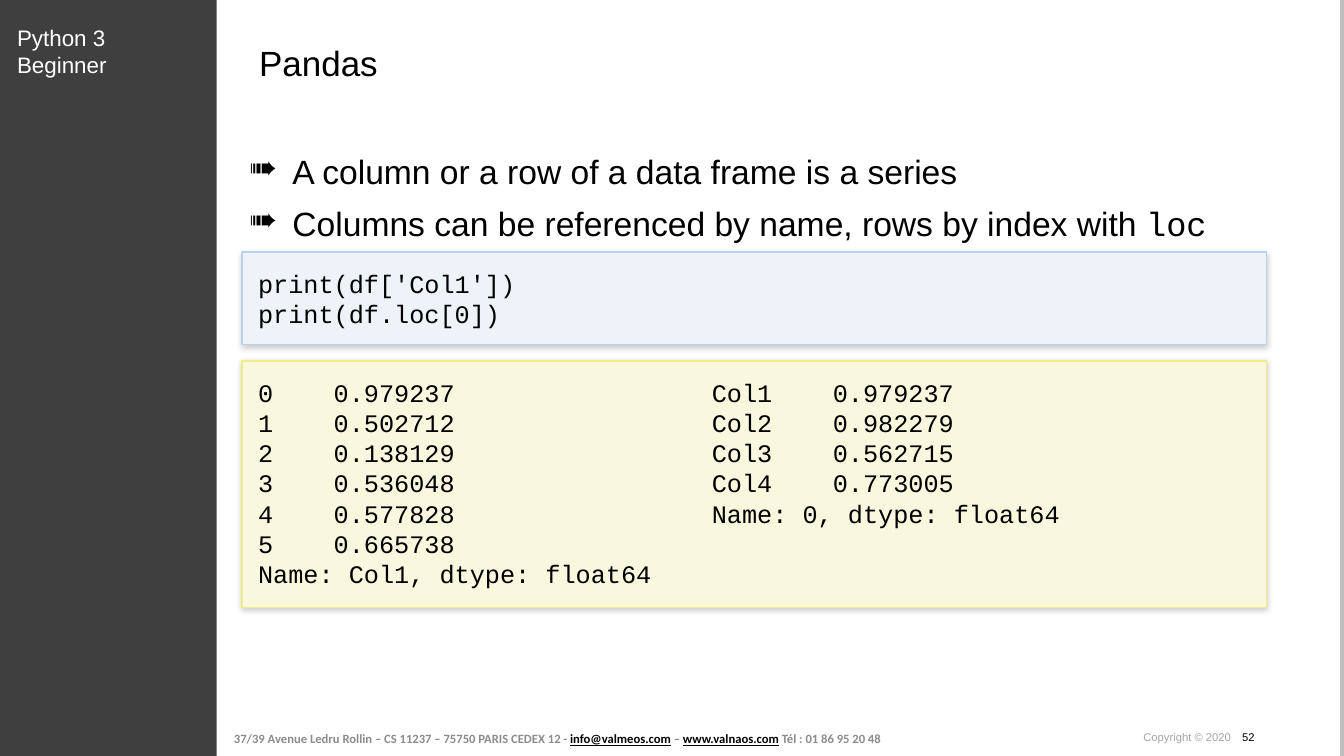
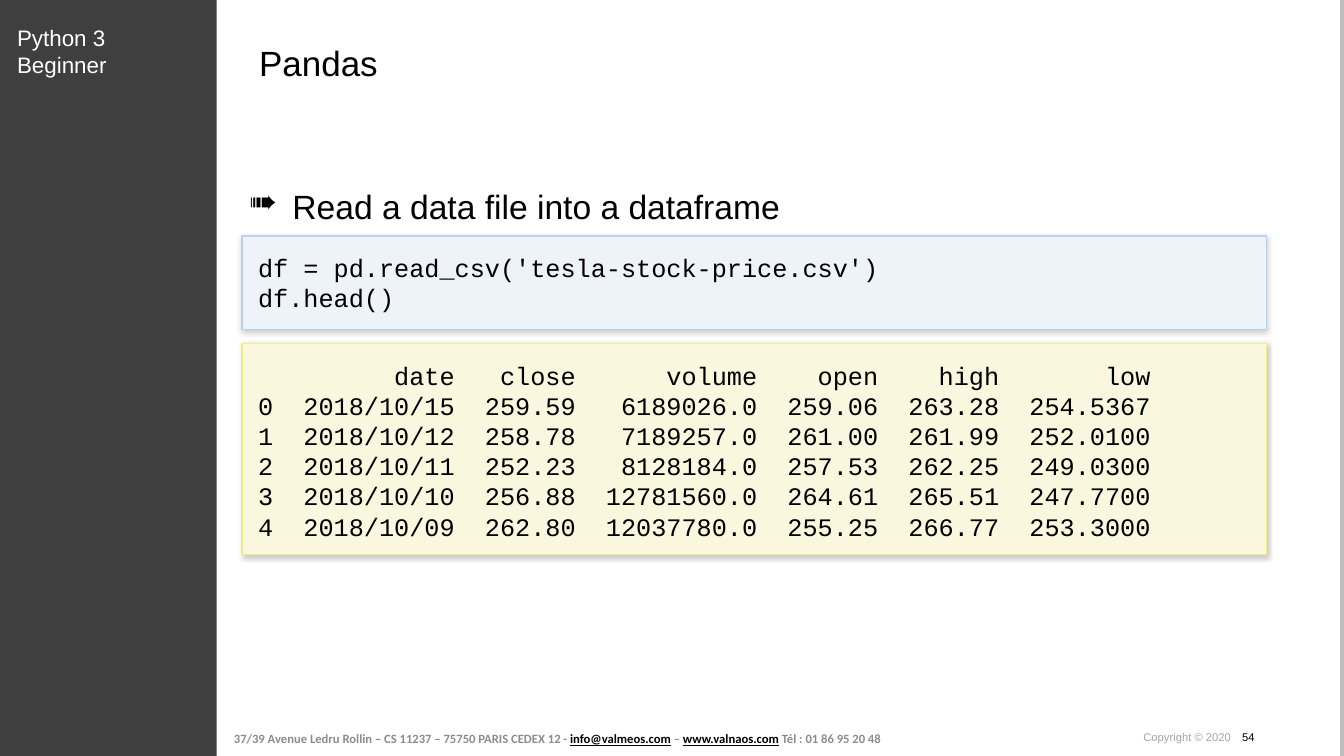
from lxml.etree import SubElement
from pptx import Presentation
from pptx.dml.color import RGBColor
from pptx.enum.shapes import MSO_CONNECTOR as Connector, MSO_SHAPE as Shape
from pptx.enum.text import MSO_ANCHOR as Anchor, PP_ALIGN as Align
from pptx.oxml.ns import qn
from pptx.util import Inches, Pt

BLACK, WHITE, GREY = "000000", "FFFFFF", "8C8C8C"
SIDEBAR, EDGE, COPYRIGHT = "3F3F3F", "BEBEBE", "A4A4A4"
INPUT_COLOURS = ("EEF3F9", "BBD2EE")
OUTPUT_COLOURS = ("F9F8DF", "F1ED86")
SLIDE_WIDTH, SLIDE_HEIGHT = 13.33, 7.5
PANEL_LEFT, PANEL_WIDTH, PANEL_INSET = 2.4, 10.16, 0.16
BULLET_INDENT = 0.43

COURSE = "Python 3 Beginner"
LINK = {"color": BLACK, "underline": True}
FOOTER = [
    ("37/39 Avenue Ledru Rollin – CS 11237 – 75750 PARIS CEDEX 12 - ", {}),
    ("info@valmeos.com", LINK),
    (" – ", {}),
    ("www.valnaos.com", LINK),
    (" Tél : 01 86 95 20 48", {}),
]

SLIDES = [
    {
        "title": "Pandas",
        "number": 52,
        "bullets_top": 1.5,
        "bullets": [
            "A column or a row of a data frame is a series",
            [("Columns can be referenced by name, rows by index with ", {}),
             ("loc", {"font": "Courier New"})],
        ],
        "input": (2.5, 0.92, ["print(df['Col1'])", "print(df.loc[0])"]),
        "output": (3.58, 2.45, [
            "0    0.979237\tCol1    0.979237",
            "1    0.502712\tCol2    0.982279",
            "2    0.138129\tCol3    0.562715",
            "3    0.536048\tCol4    0.773005",
            "4    0.577828\tName: 0, dtype: float64",
            "5    0.665738",
            "Name: Col1, dtype: float64",
        ]),
    },
    {
        "title": "Pandas",
        "number": 54,
        "bullets_top": 1.84,
        "bullets": ["Read a data file into a dataframe"],
        "input": (2.34, 0.93, [
            "df = pd.read_csv('tesla-stock-price.csv')",
            "df.head()",
        ]),
        "output": (3.41, 2.09, [
            "         date   close      volume    open    high       low",
            "0  2018/10/15  259.59   6189026.0  259.06  263.28  254.5367",
            "1  2018/10/12  258.78   7189257.0  261.00  261.99  252.0100",
            "2  2018/10/11  252.23   8128184.0  257.53  262.25  249.0300",
            "3  2018/10/10  256.88  12781560.0  264.61  265.51  247.7700",
            "4  2018/10/09  262.80  12037780.0  255.25  266.77  253.3000",
        ]),
    },
]


def rgb(value):
    """Turn a hex string into a colour."""
    return RGBColor.from_string(value)


def write(box, paragraphs, size=18, font="Arial", color=BLACK, bold=False,
          inset=(0, 0), anchor=Anchor.TOP, bullet=None, space=0, tab=None):
    """Fill a shape with paragraphs, each a string or a list of (text, changes)."""
    frame = box.text_frame
    frame.word_wrap = True
    frame.vertical_anchor = anchor
    frame.margin_left = frame.margin_right = Inches(inset[0])
    frame.margin_top = frame.margin_bottom = Inches(inset[1])
    for index, content in enumerate(paragraphs):
        para = frame.paragraphs[0] if index == 0 else frame.add_paragraph()
        para.alignment = Align.LEFT
        if index and space:
            para.space_before = Pt(space)
        properties = para._p.get_or_add_pPr()
        if bullet:
            properties.set("marL", str(Inches(BULLET_INDENT)))
            properties.set("indent", str(-Inches(BULLET_INDENT)))
            SubElement(properties, qn("a:buChar"), char=bullet)
        if tab:
            stops = SubElement(properties, qn("a:tabLst"))
            SubElement(stops, qn("a:tab"), pos=str(Inches(tab)), algn="l")
        spans = [(content, {})] if isinstance(content, str) else content
        for text, changes in spans:
            span = para.add_run()
            span.text = text
            span.font.size = Pt(size)
            span.font.name = changes.get("font", font)
            span.font.bold = bold
            span.font.underline = changes.get("underline", False)
            span.font.color.rgb = rgb(changes.get("color", color))


def add_text(page, left, top, width, height, paragraphs, **style):
    """Add a text box."""
    box = page.shapes.add_textbox(*map(Inches, (left, top, width, height)))
    write(box, paragraphs, **style)


def add_rectangle(page, left, top, width, height, fill, line=None):
    """Add a filled rectangle without a shadow."""
    box = page.shapes.add_shape(
        Shape.RECTANGLE, *map(Inches, (left, top, width, height)))
    box.shadow.inherit = False
    box.fill.solid()
    box.fill.fore_color.rgb = rgb(fill)
    if line:
        box.line.color.rgb = rgb(line)
        box.line.width = Pt(1)
    else:
        box.line.fill.background()
    return box


def add_panel(page, top, height, lines, colours):
    """Add a code panel with a soft shadow below it."""
    box = add_rectangle(page, PANEL_LEFT, top, PANEL_WIDTH, height, *colours)
    effects = box._element.spPr.find(qn("a:effectLst"))
    shadow = SubElement(effects, qn("a:outerShdw"), blurRad=str(Pt(4)),
                        dist=str(Pt(1)), dir="5400000", rotWithShape="0")
    shade = SubElement(shadow, qn("a:srgbClr"), val=BLACK)
    SubElement(shade, qn("a:alpha"), val="20000")
    tab = 4.5 if any("\t" in line for line in lines) else None
    write(box, lines, font="Courier New", inset=(PANEL_INSET, PANEL_INSET), tab=tab)


def add_frame(page, title, number):
    """Add the parts that every slide shares."""
    edge = page.shapes.add_connector(
        Connector.STRAIGHT, *map(Inches, (13.31, 0, 13.31, SLIDE_HEIGHT)))
    edge.line.color.rgb = rgb(EDGE)
    edge.line.width = Pt(3.34)
    SubElement(edge._element.spPr, qn("a:effectLst"))
    add_rectangle(page, 0, 0, 2.15, SLIDE_HEIGHT, SIDEBAR)
    add_text(page, 2.25, 7.17, 6.68, 0.32, [FOOTER], size=9, font="Calibri",
             color=GREY, bold=True, inset=(0.07, 0.04), anchor=Anchor.MIDDLE)
    add_text(page, 0.17, 0.24, 1.6, 0.54, [COURSE], size=16, color=WHITE)
    add_text(page, 2.57, 0.41, 9.91, 0.42, [title], size=25)
    add_text(page, 11.34, 7.25, 1.71, 0.13,
             [[("Copyright © 2020\t", {}), (str(number), {"color": BLACK})]],
             size=8, color=COPYRIGHT, tab=0.98)


def main():
    """Build and save the deck."""
    deck = Presentation()
    deck.slide_width = Inches(SLIDE_WIDTH)
    deck.slide_height = Inches(SLIDE_HEIGHT)
    for content in SLIDES:
        page = deck.slides.add_slide(deck.slide_layouts[6])
        add_frame(page, content["title"], content["number"])
        add_panel(page, *content["input"], INPUT_COLOURS)
        bullets = content["bullets"]
        add_text(page, 2.47, content["bullets_top"], 10.01, 0.46 * len(bullets),
                 bullets, size=24, bullet="➠", space=8.1)
        add_panel(page, *content["output"], OUTPUT_COLOURS)
    deck.save("out.pptx")


if __name__ == "__main__":
    main()
